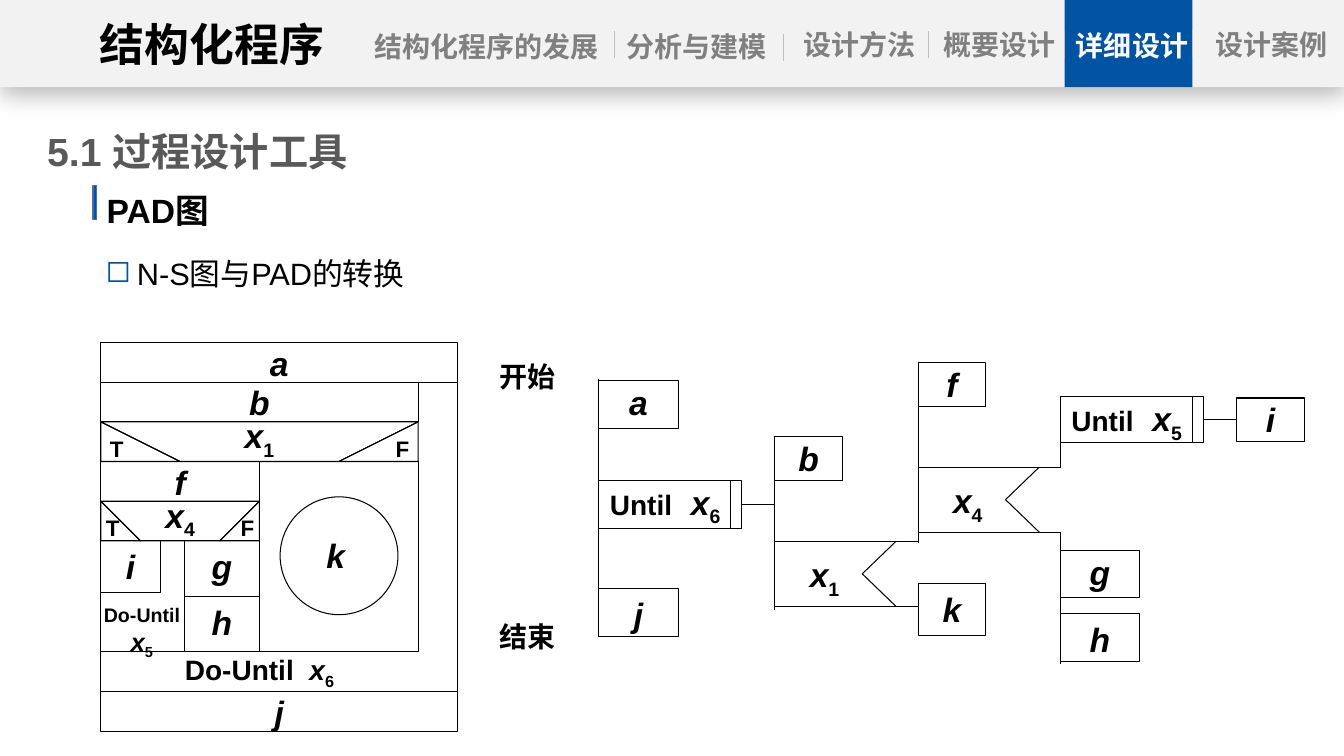
from dataclasses import dataclass

from lxml import etree
from pptx import Presentation
from pptx import util as u
from pptx.dml.color import RGBColor
from pptx.enum import shapes, text
from pptx.oxml.ns import qn


@dataclass(frozen=True)
class Theme:
    font: str = "Arial"
    black: str = "000000"
    white: str = "FFFFFF"
    heading: str = "595959"
    inactive: str = "808080"
    separator: str = "BFBFBF"
    band: str = "F2F2F2"
    blue: str = "0054A3"
    bar_edge: str = "476FAA"
    title: int = 32
    section: int = 28
    letter: int = 24
    bullet: int = 22
    label: int = 20
    small_symbol: int = 18
    branch: int = 16
    loop: int = 14
    outline: float = 0.75
    hairline: float = 0.5


def color(value):
    return RGBColor.from_string(value)


def write(paragraph, content, font, size, shade, bold=True, italic=False, baseline=0, spacing=0):
    """Add one run; baseline is in percent, spacing in points."""
    run = paragraph.add_run()
    run.text = content
    run.font.name = font
    run.font.size = u.Pt(size)
    run.font.bold = bold
    run.font.italic = italic
    run.font.color.rgb = color(shade)
    properties = run.font._element
    if baseline:
        properties.set("baseline", str(baseline * 1000))
    if spacing:
        properties.set("spc", str(round(spacing * 100)))


def indexed(index, size):
    """Runs for the variable x with a subscript."""
    return [("x", dict(italic=True, size=size)), (index, dict(baseline=-25, size=size))]


class Board:
    """Draws on one slide in centimetres, measured from a movable origin."""

    def __init__(self, slide, theme):
        self.slide = slide
        self.theme = theme
        self.origin = (0, 0)

    def place(self, x, y):
        return u.Cm(self.origin[0] + x), u.Cm(self.origin[1] + y)

    def fill_text(self, shape, runs, size, shade=None, align="CENTER", inset=(0.25, 0.13), **form):
        frame = shape.text_frame
        frame.word_wrap = True
        frame.vertical_anchor = text.MSO_ANCHOR.TOP
        frame.margin_left = frame.margin_right = u.Cm(inset[0])
        frame.margin_top, frame.margin_bottom = u.Cm(inset[1]), 0
        paragraph = frame.paragraphs[0]
        paragraph.alignment = text.PP_ALIGN[align]
        base = dict(font=self.theme.font, size=size, shade=shade or self.theme.black) | form
        for content, change in [(runs, {})] if isinstance(runs, str) else runs:
            write(paragraph, content, **(base | change))
        return paragraph

    def label(self, x, y, width, height, runs, size, **form):
        box = self.slide.shapes.add_textbox(*self.place(x, y), u.Cm(width), u.Cm(height))
        return self.fill_text(box, runs, size, **form)

    def outline(self, shape, fill=None, line=None, weight=None):
        shape.shadow.inherit = False
        if fill:
            shape.fill.solid()
            shape.fill.fore_color.rgb = color(fill)
        else:
            shape.fill.background()
        if line:
            shape.line.color.rgb = color(line)
            shape.line.width = u.Pt(weight or self.theme.outline)
        else:
            shape.line.fill.background()
        return shape

    def preset(self, x, y, width, height, kind="RECTANGLE", flip=False, **look):
        shape = self.slide.shapes.add_shape(
            shapes.MSO_SHAPE[kind], *self.place(x, y), u.Cm(width), u.Cm(height))
        if flip:
            shape.element.spPr.find(qn("a:xfrm")).set("flipH", "1")
        return self.outline(shape, **(look or dict(line=self.theme.black)))

    def letter(self, x, y, width, height, content, inset=(0.25, 0.13)):
        box = self.preset(x, y, width, height)
        self.fill_text(box, content, self.theme.letter, italic=True, inset=inset)
        return box

    def line(self, x1, y1, x2, y2, shade=None, weight=None):
        connector = self.slide.shapes.add_connector(
            shapes.MSO_CONNECTOR.STRAIGHT, *self.place(x1, y1), *self.place(x2, y2))
        connector.line.color.rgb = color(shade or self.theme.black)
        connector.line.width = u.Pt(weight or self.theme.outline)
        etree.SubElement(connector._element.spPr, qn("a:effectLst"))
        return connector

    def condition(self, y, width, slope, index):
        """N-S branch row: trapezoid between two triangles marked T and F."""
        builder = self.slide.shapes.build_freeform(*self.place(0, y))
        builder.add_line_segments([self.place(slope, y + 1), self.place(width - slope, y + 1),
                                   self.place(width, y)])
        self.outline(builder.convert_to_shape(), line=self.theme.black)
        self.preset(0, y, slope, 1, "RIGHT_TRIANGLE")
        self.preset(width - slope, y, slope, 1, "RIGHT_TRIANGLE", flip=True)
        self.label(0, y - 0.2, width, 1.09, indexed(index, self.theme.letter), self.theme.letter,
                   inset=(0.05, 0.03))
        center = 0.2 + slope / 10
        for mark, x in (("T", center), ("F", width - center)):
            self.label(x - 0.53, y + 0.2, 1.06, 0.94, mark, self.theme.branch)

    def until(self, x, y, height, index):
        """PAD loop box with a double right edge."""
        theme = self.theme
        box = self.preset(x, y, 3.6, height)
        runs = [("Until", {}), (" ", dict(size=theme.letter, spacing=6.67))]
        self.fill_text(box, runs + indexed(index, theme.letter), theme.label,
                       align="LEFT", inset=(0.28, 0.03))
        self.line(x + 3.32, y, x + 3.32, y + height)
        link = self.line(x + 3.6, y + height / 2, x + 4.44, y + height / 2)
        link.begin_connect(box, 3)
        return link

    def selection(self, x, y, index):
        """PAD branch block with a notch on its right."""
        width, height = 3.6, 1.64
        for edge in (y, y + height):
            self.line(x, edge, x + width, edge)
            self.line(x + width - 0.55, edge, x + width - 1.4, y + height / 2)
        self.label(x + 0.4, y + 0.2, 1.7, 1.27, indexed(index, self.theme.letter),
                   self.theme.letter)


def draw_headings(board):
    theme = board.theme
    board.label(1.19, 3.07, 8.08, 1.47, "5.1 过程设计工具", theme.section, shade=theme.heading,
                align="LEFT", inset=(0, 0.13))
    board.preset(2.34, 4.67, 0.1, 0.87, fill=theme.blue, line=theme.bar_edge, weight=1)
    board.label(2.44, 4.65, 14.07, 1.27, "PAD图", theme.letter, align="LEFT")
    paragraph = board.label(1.78, 5.82, 9.35, 1.5, "N-S图与PAD的转换", theme.bullet,
                            align="LEFT", bold=False)
    paragraph.level = 1
    paragraph.line_spacing = 1.5
    properties = paragraph._p.get_or_add_pPr()
    properties.set("marL", str(u.Cm(1.42)))
    properties.set("indent", str(u.Cm(-0.79)))
    bullet_color = etree.SubElement(properties, qn("a:buClr"))
    etree.SubElement(bullet_color, qn("a:srgbClr"), val=theme.blue)
    etree.SubElement(properties, qn("a:buChar"), char="◻")


def draw_ns_chart(board):
    theme = board.theme
    board.origin = (2.54, 8.63)
    tight = (0.25, 0)
    board.condition(4, 4, 1, "4")
    board.preset(0, 5, 2.1, 2.8)
    board.label(-0.23, 6.43, 2.54, 1.63, [("Do-Until ", {})] + indexed("5", theme.small_symbol),
                theme.loop)
    board.letter(0, 5, 1.5, 1.3, "i")
    for row, content in enumerate("gh"):
        board.letter(2.1, 5 + 1.4 * row, 1.9, 1.4, content)
    board.letter(0, 3, 4, 1, "f", tight)
    board.preset(4, 3, 4, 4.8)
    board.preset(4.52, 3.89, 2.97, 2.97, "OVAL")
    board.label(4.75, 4.73, 2.34, 1.27, "k", theme.letter, italic=True)
    board.condition(2, 8, 2, "1")
    board.letter(0, 1, 8, 1, "b", tight)
    runs = [("Do-Until", {}), (" ", dict(spacing=5.56))]
    board.label(0, 7.8, 8, 1, runs + indexed("6", theme.label), theme.label, inset=tight)
    board.preset(0, 1, 9, 7.8)
    board.letter(0, 0, 9, 1, "a", tight)
    board.letter(0, 8.8, 9, 1, "j", tight)


def draw_pad_chart(board):
    board.origin = (0, 0)
    start, loop, branch, leaf = 15.09, 19.53, 23.14, 26.72
    for y, content in ((8.94, "开始"), (15.49, "结束")):
        board.label(12.34, y, 2.97, 1.09, content, board.theme.label, align="LEFT")
    for x, y, width, height, content, top in (
            (start, 9.6, 2, 1.2, "a", 0.03), (start, 14.83, 2, 1.2, "j", 0.13),
            (loop, 11, 1.7, 1.1, "b", 0.03), (branch, 9.14, 1.7, 1.1, "f", 0.03),
            (branch, 14.71, 1.7, 1.3, "k", 0.13), (leaf, 13.87, 2, 1.2, "g", 0.03),
            (leaf, 15.47, 2, 1.2, "h", 0.13)):
        board.letter(x, y, width, height, content, (0.25, top))
    for x, top, bottom in ((start, 9.55, 16.05), (loop, 11.05, 15.37), (branch, 9.19, 13.69),
                           (leaf, 10, 11.79), (leaf, 13.44, 16.74)):
        board.line(x, top, x, bottom)
    board.until(start, 12.11, 1.2, "6")
    last_step = board.letter(31.17, 10.03, 1.7, 1.1, "i", (0.25, 0.03))
    board.until(leaf, 10, 1.16, "5").end_connect(last_step, 1)
    board.selection(loop, 13.64, "1")
    board.selection(branch, 11.77, "4")


def draw_navigation(board):
    theme = board.theme
    band = board.preset(0, 0, 33.87, 2.2, fill=theme.band)
    shadow = etree.SubElement(band.element.spPr.find(qn("a:effectLst")), qn("a:outerShdw"),
                              blurRad=str(u.Pt(18)), dist=str(u.Pt(4)), dir="5400000")
    tint = etree.SubElement(shadow, qn("a:srgbClr"), val=theme.black)
    etree.SubElement(tint, qn("a:alpha"), val="29000")
    board.preset(26.83, 0, 3.22, 2.2, fill=theme.blue)
    for x, y in ((15.48, 0.79), (19.74, 0.86), (23.4, 0.79), (26.83, 0.79), (30.05, 0.76)):
        board.line(x, y, x, y + 0.68, theme.separator, theme.hairline)
    board.label(2.31, 0.3, 6.07, 1.63, "结构化程序", theme.title, inset=(0, 0.13))
    for x, y, width, content in ((9.25, 0.61, 6.02, "结构化程序的发展"), (15.7, 0.61, 3.73, "分析与建模"),
                                 (19.79, 0.56, 3.73, "设计方法"), (23.32, 0.56, 3.73, "概要设计"),
                                 (26.6, 0.58, 3.86, "详细设计"), (30.18, 0.56, 3.73, "设计案例")):
        shade = theme.white if content == "详细设计" else theme.inactive
        board.label(x, y, width, 1.12, content, theme.label, shade=shade, inset=(0, 0.13))


def main():
    presentation = Presentation()
    presentation.slide_width, presentation.slide_height = u.Cm(33.87), u.Cm(19.05)
    board = Board(presentation.slides.add_slide(presentation.slide_layouts[6]), Theme())
    draw_headings(board)
    draw_ns_chart(board)
    draw_pad_chart(board)
    draw_navigation(board)
    presentation.save("out.pptx")


if __name__ == "__main__":
    main()
